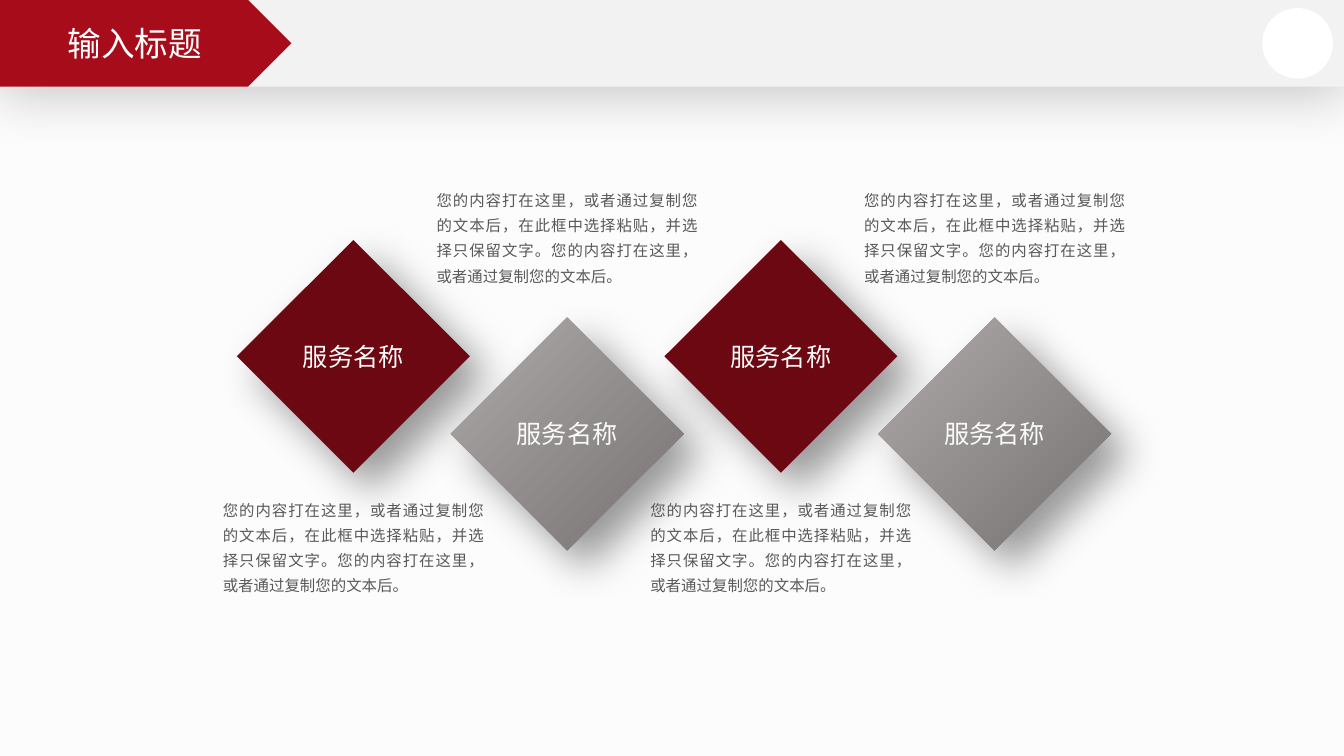
from lxml import etree
from pptx import Presentation
from pptx.dml.color import RGBColor
from pptx.enum.shapes import MSO_SHAPE
from pptx.enum.text import MSO_ANCHOR, PP_ALIGN
from pptx.oxml.ns import qn
from pptx.util import Inches, Pt

RECTANGLE, PENTAGON = MSO_SHAPE.RECTANGLE, MSO_SHAPE.PENTAGON
DIAMOND, OVAL = MSO_SHAPE.DIAMOND, MSO_SHAPE.OVAL
MIDDLE = MSO_ANCHOR.MIDDLE
CENTER, JUSTIFY = PP_ALIGN.CENTER, PP_ALIGN.JUSTIFY

FONT = "Noto Sans CJK SC"
PAPER = RGBColor(0xFC, 0xFC, 0xFC)
BAND_GREY = RGBColor(0xF2, 0xF2, 0xF2)
WHITE = RGBColor(0xFF, 0xFF, 0xFF)
RED = RGBColor(0xA7, 0x0C, 0x1B)
DARK_RED = RGBColor(0x6B, 0x08, 0x11)
LIGHT_GREY = RGBColor(0xAF, 0xAB, 0xAB)
DARK_GREY = RGBColor(0x76, 0x71, 0x71)
LABEL_WHITE = RGBColor(0xFA, 0xFA, 0xFA)
BODY_GREY = RGBColor(0x59, 0x59, 0x59)

BODY = ("您的内容打在这里，或者通过复制您的文本后，在此框中选择粘贴，并选择只保留文字。"
        "您的内容打在这里，或者通过复制您的文本后。")

prs = Presentation()
prs.slide_width, prs.slide_height = Inches(13.33), Inches(7.5)
slide = prs.slides.add_slide(prs.slide_layouts[6])
slide.background.fill.solid()
slide.background.fill.fore_color.rgb = PAPER


def add_block(kind, left, top, width, height, color, shadow=None):
    """Add a borderless shape; shadow is (opacity %, blur pt, distance pt, angle)."""
    block = slide.shapes.add_shape(
        kind, Inches(left), Inches(top), Inches(width), Inches(height))
    block.fill.solid()
    block.fill.fore_color.rgb = color
    block.line.fill.background()
    block.shadow.inherit = False
    if shadow:
        opacity, blur, distance, angle = shadow
        effects = block._element.spPr.find(qn("a:effectLst"))
        outer = etree.SubElement(
            effects, qn("a:outerShdw"), blurRad=str(Pt(blur)), dist=str(Pt(distance)),
            dir=str(angle * 60000), algn="ctr", rotWithShape="0")
        black = etree.SubElement(outer, qn("a:srgbClr"), val="000000")
        etree.SubElement(black, qn("a:alpha"), val=str(opacity * 1000))
    return block


def write(shape, text, size, color, align):
    """Fill a shape with one paragraph, without insets."""
    frame = shape.text_frame
    frame.word_wrap = True
    frame.margin_left = frame.margin_right = frame.margin_top = frame.margin_bottom = 0
    paragraph = frame.paragraphs[0]
    paragraph.text = text
    paragraph.alignment = align
    font = paragraph.font
    font.size, font.name = Pt(size), FONT
    font.color.rgb = color
    etree.SubElement(font._element, qn("a:ea"), typeface=FONT)
    return paragraph


# Header band
add_block(RECTANGLE, 0, 0, 13.33, 0.86, BAND_GREY, shadow=(20, 38, 7, 90))

# Services: red ones sit high with text below, grey ones low with text above
FIRST_LEFT, STEP, SIDE = 2.35, 2.12, 2.31
for i in range(4):
    left = FIRST_LEFT + i * STEP
    is_red = i % 2 == 0
    service = add_block(DIAMOND, left, 2.38 if is_red else 3.15, SIDE, SIDE,
                        DARK_RED, shadow=(40, 30, 18, 45))
    if not is_red:
        service.fill.gradient()
        service.fill.gradient_angle = 315
        for stop, shade in zip(service.fill.gradient_stops, (LIGHT_GREY, DARK_GREY)):
            stop.color.rgb = shade
    write(service, "服务名称", 18, LABEL_WHITE, CENTER)
    service.text_frame.vertical_anchor = MIDDLE

    description = slide.shapes.add_textbox(
        Inches(left - 0.14), Inches(4.9 if is_red else 1.83), Inches(2.59), Inches(1.01))
    body = write(description, BODY, 11, BODY_GREY, JUSTIFY)
    body.line_spacing = Pt(18)
    body.space_after = Pt(10)

# Badge and title
add_block(OVAL, 12.52, 0.08, 0.7, 0.7, WHITE)
title = add_block(PENTAGON, 0, 0, 2.89, 0.86, RED)
write(title, "输入标题", 24, WHITE, CENTER)
title.text_frame.vertical_anchor = MIDDLE

prs.save("out.pptx")
